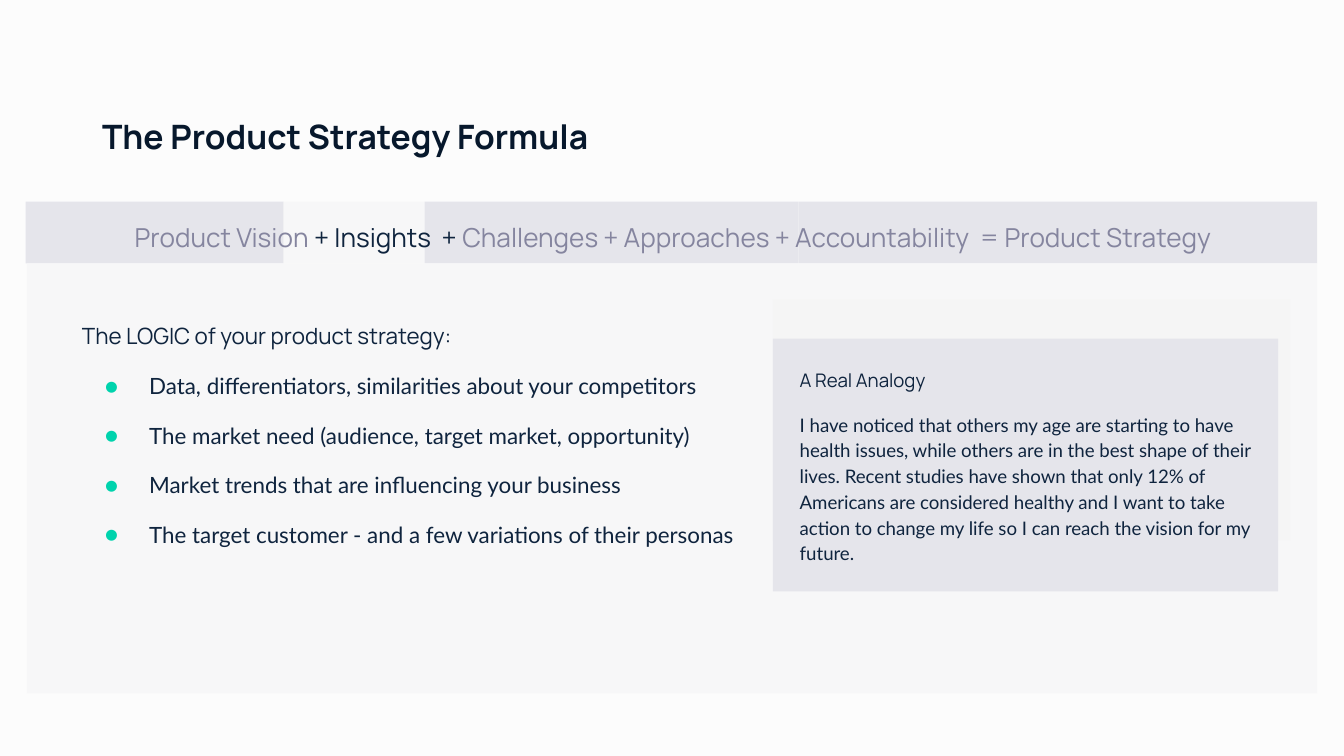
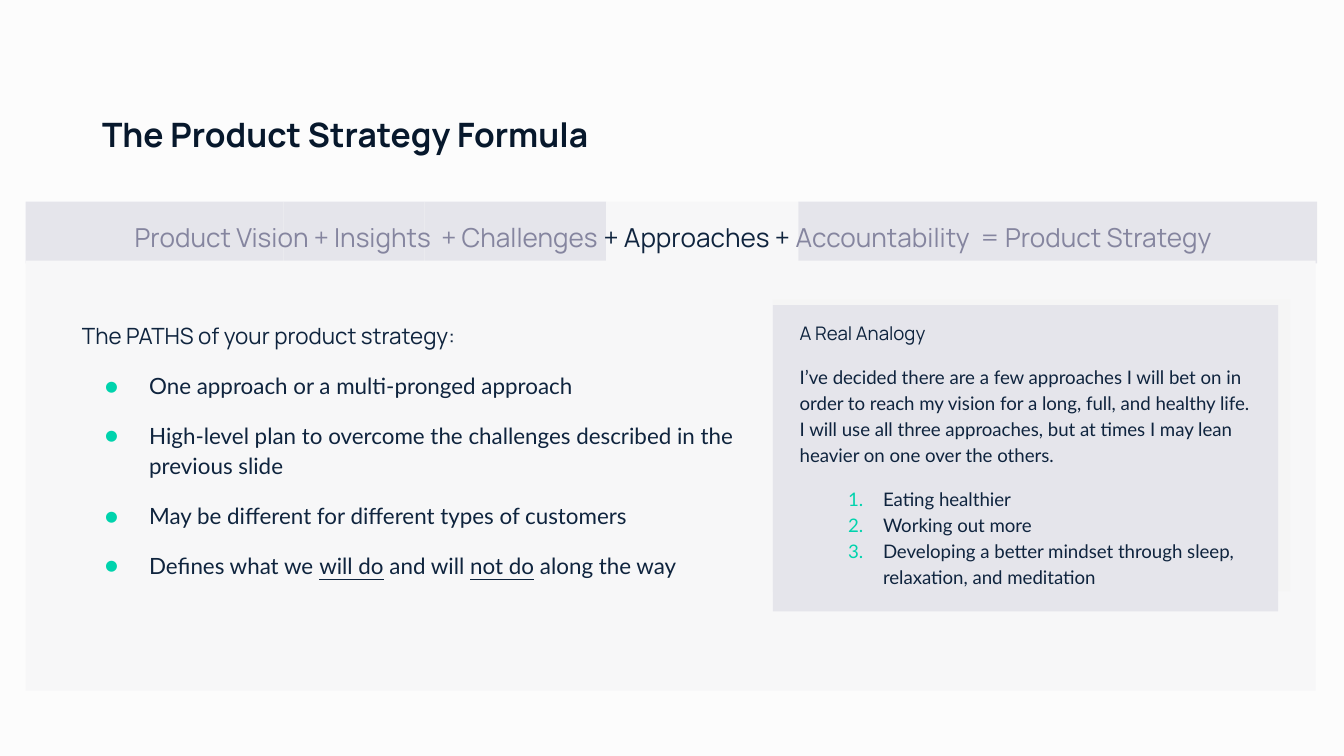
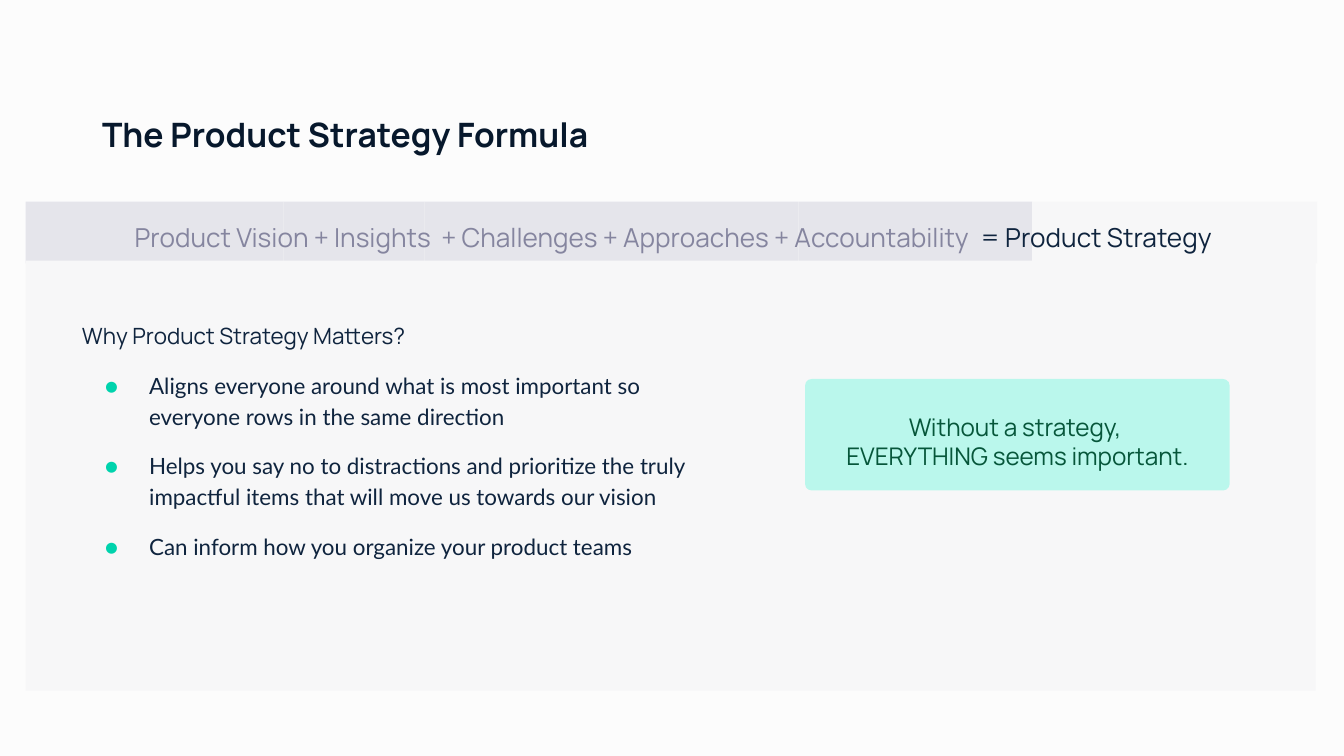
import dataclasses

import lxml.etree
import pptx
import pptx.dml.color
import pptx.enum.shapes
import pptx.enum.text
import pptx.oxml.ns
import pptx.util

PX = 9144
ALIGN = pptx.enum.text.PP_ALIGN
ANCHOR = pptx.enum.text.MSO_ANCHOR
FIT = pptx.enum.text.MSO_AUTO_SIZE
SHAPE = pptx.enum.shapes.MSO_SHAPE


@dataclasses.dataclass(frozen=True)
class Theme:
    page: str = "FCFCFC"
    panel: str = "F7F7F8"
    backing: str = "F5F5F5"
    band: str = "E5E5EB"
    mint: str = "BAF7EC"
    marker: str = "00D3AD"
    heading: str = "07182C"
    ink: str = "0F243E"
    muted: str = "85859F"
    forest: str = "06563A"
    display: str = "Manrope"
    text: str = "Lato"
    title_size: int = 18
    formula_size: int = 14
    callout_size: int = 13
    list_size: int = 12
    analogy_size: int = 10


theme = Theme()
gap = pptx.util.Pt(10)


def place(part, box, fill=None, insets=(10, 10, 10, 10), anchor=ANCHOR.TOP, fit=FIT.NONE):
    for side, length in zip(("left", "top", "width", "height"), box):
        setattr(part, side, length * PX)
    if fill:
        part.fill.solid()
        part.fill.fore_color.rgb = pptx.dml.color.RGBColor.from_string(fill)
        part.line.fill.background()
    frame = part.text_frame
    layout = {"word_wrap": True, "auto_size": fit, "vertical_anchor": anchor}
    sides = ("margin_left", "margin_top", "margin_right", "margin_bottom")
    layout.update({side: inset * PX for side, inset in zip(sides, insets)})
    for key, value in layout.items():
        setattr(frame, key, value)
    return frame


def write(frame, lines):
    for index, (style, text) in enumerate(lines):
        paragraph = frame.add_paragraph() if index else frame.paragraphs[0]
        properties = paragraph._p.get_or_add_pPr()
        margin, hanging = style.get("indent", (0, 0))
        properties.set("marL", str(margin * PX))
        properties.set("indent", str(-hanging * PX))
        for tag, values in style.get("marker", [("buNone", {})]):
            bullet = lxml.etree.SubElement(properties, pptx.oxml.ns.qn("a:" + tag), values)
            if tag == "buClr":
                lxml.etree.SubElement(bullet, pptx.oxml.ns.qn("a:srgbClr"), val=theme.marker)
        spacing = {"alignment": ALIGN.LEFT, "line_spacing": 1.15, "space_before": 0, "space_after": 0}
        for key, value in (spacing | style.get("spacing", {})).items():
            setattr(paragraph, key, value)
        for position, piece in enumerate(text.split("_")):
            marked = style.get("marked", {}) if position % 2 else {}
            for line_number, line in enumerate(piece.split("\n")):
                if line_number:
                    paragraph.add_line_break()
                if not line:
                    continue
                run = paragraph.add_run()
                run.text = line
                look = {"bold": False} | style["font"] | marked
                color = look.pop("color")
                run.font.color.rgb = pptx.dml.color.RGBColor.from_string(color)
                for key, value in (look | {"size": pptx.util.Pt(look["size"])}).items():
                    setattr(run.font, key, value)


title_style = {
    "font": {"name": theme.display, "size": theme.title_size, "color": theme.heading, "bold": True},
    "spacing": {"line_spacing": 1.0},
}
formula_style = {
    "font": {"name": theme.display, "size": theme.formula_size, "color": theme.muted},
    "marked": {"color": theme.ink},
    "spacing": {"alignment": ALIGN.CENTER, "space_after": gap},
}
lead_style = {"font": {"name": theme.display, "size": theme.list_size, "color": theme.ink}}
reason_style = {
    "font": {"name": theme.text, "size": theme.list_size, "color": theme.ink},
    "marked": {"underline": True},
    "spacing": {"space_before": gap},
    "indent": (50, 33),
    "marker": [("buClr", {}), ("buFont", {"typeface": theme.text}), ("buChar", {"char": "●"})],
}
analogy_lead = {"font": {"name": theme.display, "size": theme.analogy_size, "color": theme.ink}}
story_style = {
    "font": {"name": theme.text, "size": theme.analogy_size, "color": theme.ink},
    "spacing": {"space_before": gap},
}
step_style = {
    "font": story_style["font"],
    "indent": (62, 26),
    "marker": [
        ("buClr", {}),
        ("buFont", {"typeface": theme.text}),
        ("buAutoNum", {"type": "arabicPeriod"}),
    ],
}
first_step = step_style | {"spacing": {"space_before": gap}}
callout_style = {
    "font": {"name": theme.display, "size": theme.callout_size, "color": theme.forest},
    "spacing": {"alignment": ALIGN.CENTER, "line_spacing": 1.0, "space_after": gap},
}

term_edges = [19, 211, 316, 451, 594, 768, 980]

chapters = [
    {
        "active": 1,
        "title_top": 76,
        "panel": (20, 196, 960, 320),
        "formula": "Product Vision_ + Insights  + _Challenges + Approaches + Accountability  = Product Strategy",
        "lead": "The LOGIC of your product strategy:",
        "reasons_width": 507,
        "reasons": [
            "Data, differentiators, similarities about your competitors",
            "The market need (audience, target market, opportunity)",
            "Market trends that are influencing your business",
            "The target customer - and a few variations of their personas",
        ],
        "backing_height": 179,
        "analogy_box": (575, 252, 376, 188),
        "analogy_insets": (20, 20, 20, 10),
        "analogy": [
            (analogy_lead, "A Real Analogy"),
            (
                story_style,
                "I have noticed that others my age are starting to have health issues, while others "
                "are in the best shape of their lives. Recent studies have shown that only 12% of "
                "Americans are considered healthy and I want to take action to change my life so I "
                "can reach the vision for my future.",
            ),
        ],
    },
    {
        "active": 3,
        "title_top": 75,
        "panel": (19, 194, 960, 320),
        "formula": "Product Vision + Insights  + Challenges _+ Approaches +_ Accountability  = Product Strategy",
        "lead": "The PATHS of your product strategy:",
        "reasons_width": 519,
        "reasons": [
            "One approach or a multi-pronged approach",
            "High-level plan to overcome the challenges described in the previous slide",
            "May be different for different types of customers",
            "Defines what we _will do_ and will _not do_ along the way",
        ],
        "backing_height": 217,
        "analogy_box": (575, 227, 376, 228),
        "analogy_insets": (20, 10, 20, 20),
        "analogy": [
            (analogy_lead, "A Real Analogy"),
            (
                story_style,
                "I’ve decided there are a few approaches I will bet on in order to reach my vision "
                "for a long, full, and healthy life. I will use all three approaches, but at times "
                "I may lean heavier on one over the others.",
            ),
            (first_step, "Eating healthier"),
            (step_style, "Working out more"),
            (step_style, "Developing a better mindset through sleep, relaxation, and meditation"),
        ],
    },
    {
        "active": 5,
        "title_top": 75,
        "panel": (19, 194, 960, 320),
        "formula": "Product Vision + Insights  + Challenges + Approaches + Accountability_  = Product Strategy",
        "lead": "Why Product Strategy Matters?",
        "reasons_width": 476,
        "reasons": [
            "Aligns everyone around what is most important so everyone rows in the same direction",
            "Helps you say no to distractions and prioritize the truly impactful items that will "
            "move us towards our vision",
            "Can inform how you organize your product teams",
        ],
        "callout": "Without a strategy, \nEVERYTHING seems important.",
    },
]

deck = pptx.Presentation()
deck.slide_width = 1000 * PX
deck.slide_height = deck.slide_width * 9 // 16
page_fill = deck.slide_master.background.fill
page_fill.solid()
page_fill.fore_color.rgb = pptx.dml.color.RGBColor.from_string(theme.page)

for chapter in chapters:
    slide = deck.slides.add_slide(deck.slide_layouts[4])
    title, formula, reasons, spare, analogy = slide.placeholders
    tree = title.element.getparent()

    blocks = [
        ((left, 150, right - left, 46), theme.panel if term == chapter["active"] else theme.band)
        for term, (left, right) in enumerate(zip(term_edges, term_edges[1:]))
    ]
    blocks.append((chapter["panel"], theme.panel))
    if "analogy" in chapter:
        blocks.append(((575, 223, 385, chapter["backing_height"]), theme.backing))
    for box, fill in blocks:
        block = slide.shapes.add_shape(SHAPE.RECTANGLE, 0, 0, 0, 0)
        block.shadow.inherit = False
        place(block, box, fill)

    tree.remove(spare.element)
    for part in (title, formula, reasons, analogy):
        tree.append(part.element)

    write(
        place(title, (66, chapter["title_top"], 430, 59)),
        [(title_style, "The Product Strategy Formula")],
    )
    write(
        place(formula, (31, 151, 940, 44), fit=FIT.SHAPE_TO_FIT_TEXT),
        [(formula_style, chapter["formula"])],
    )
    write(
        place(reasons, (51, 227, chapter["reasons_width"], 257)),
        [(lead_style, chapter["lead"])] + [(reason_style, reason) for reason in chapter["reasons"]],
    )

    if "analogy" in chapter:
        write(
            place(analogy, chapter["analogy_box"], theme.band, chapter["analogy_insets"]),
            chapter["analogy"],
        )
    else:
        tree.remove(analogy.element)
        callout = slide.shapes.add_shape(SHAPE.ROUNDED_RECTANGLE, 0, 0, 0, 0)
        callout.shadow.inherit = False
        callout.adjustments[0] = 0.06
        write(
            place(callout, (599, 282, 316, 83), theme.mint, (10, 20, 10, 10), ANCHOR.MIDDLE),
            [(callout_style, chapter["callout"])],
        )

deck.save("out.pptx")
